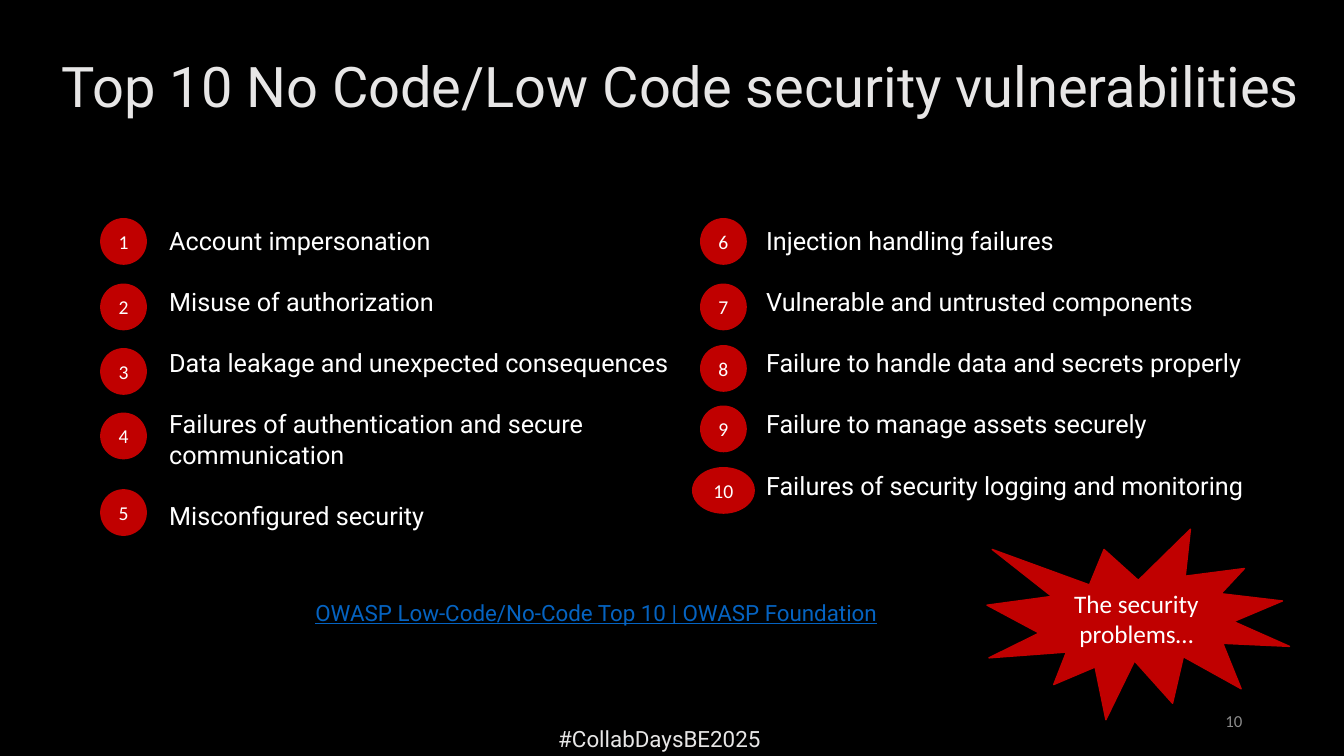
from dataclasses import dataclass

from pptx import Presentation
from pptx.dml.color import RGBColor
from pptx.enum.shapes import MSO_SHAPE as SHAPE
from pptx.enum.text import MSO_ANCHOR as ANCHOR, PP_ALIGN as ALIGN
from pptx.util import Inches, Pt


@dataclass(frozen=True)
class Theme:
    background: str = "000000"
    heading: str = "E7E6E6"
    body: str = "FFFFFF"
    accent: str = "C00000"
    link: str = "0563C1"
    muted: str = "8C8C8C"
    main_font: str = "Roboto"
    label_font: str = "Calibri"
    title_size: int = 40
    body_size: int = 18
    small_size: int = 16
    badge_size: int = 14
    number_size: int = 12
    item_gap: int = 22


THEME = Theme()

LEFT_ITEMS = [
    ("Account impersonation", 0),
    ("Misuse of authorization", 0.65),
    ("Data leakage and unexpected consequences", 1.29),
    ("Failures of authentication and secure communication", 1.93),
    ("Misconfigured security", 2.69),
]
RIGHT_ITEMS = [
    ("Injection handling failures", 0),
    ("Vulnerable and untrusted components", 0.65),
    ("Failure to handle data and secrets properly", 1.26),
    ("Failure to manage assets securely", 1.86),
    ("Failures of security logging and monitoring", 2.47),
]


def rgb(color):
    return RGBColor.from_string(color)


def write(tf, lines, size, color, font=THEME.main_font, align=ALIGN.LEFT,
          anchor=ANCHOR.TOP, wrap=True, gap=0, underline=None):
    tf.word_wrap = wrap
    tf.vertical_anchor = anchor
    tf.text = "\n".join(lines)
    for i, p in enumerate(tf.paragraphs):
        p.alignment = align
        if i and gap:
            p.space_before = Pt(gap)
        for r in p.runs:
            r.font.name = font
            r.font.size = Pt(size)
            r.font.color.rgb = rgb(color)
            r.font.underline = underline


def add_text(s, box, lines, size, color, **style):
    sp = s.shapes.add_textbox(*map(Inches, box))
    write(sp.text_frame, lines, size, color, **style)


def add_label(s, kind, box, text, size, inset=0.1):
    sp = s.shapes.add_shape(kind, *map(Inches, box))
    sp.shadow.inherit = False
    sp.fill.solid()
    sp.fill.fore_color.rgb = rgb(THEME.accent)
    sp.line.color.rgb = rgb(THEME.accent)
    sp.line.width = Pt(1)
    tf = sp.text_frame
    tf.margin_left = tf.margin_right = Inches(inset)
    write(tf, [text], size, THEME.body, font=THEME.label_font,
          align=ALIGN.CENTER, anchor=ANCHOR.MIDDLE)


def add_list(s, box, items, first, text_offset):
    left, top, width, height = box
    diameter = 0.45
    for number, (_, drop) in enumerate(items, first):
        badge_width = diameter if number < 10 else 0.61
        x = left + (diameter - badge_width) / 2
        add_label(s, SHAPE.FLOWCHART_CONNECTOR,
                  (x, top + drop, badge_width, diameter),
                  str(number), THEME.badge_size, inset=0)
    add_text(s, (left + text_offset, top + 0.02, width - text_offset, height),
             [text for text, _ in items], THEME.body_size, THEME.body,
             gap=THEME.item_gap)


def add_footer(s, box):
    left, top, width, height = box
    add_text(s, (left, top + 0.19, width, 0.37), ["#CollabDaysBE2025"],
             THEME.small_size, THEME.heading, align=ALIGN.CENTER)
    add_text(s, (left + 6.5, top, 3, height), ["10"], THEME.number_size,
             THEME.muted, font=THEME.label_font, align=ALIGN.RIGHT,
             anchor=ANCHOR.MIDDLE)


def build_slide(prs):
    s = prs.slides.add_slide(prs.slide_layouts[6])
    s.background.fill.solid()
    s.background.fill.fore_color.rgb = rgb(THEME.background)
    add_text(s, (0.45, 0.31, 12.6, 1.06),
             ["Top 10 No Code/Low Code security vulnerabilities"],
             THEME.title_size, THEME.heading, align=ALIGN.CENTER,
             anchor=ANCHOR.MIDDLE, wrap=False)
    add_list(s, (1, 2.17, 5.88, 3.5), LEFT_ITEMS, 1, 0.58)
    add_list(s, (6.95, 2.17, 5.85, 3.2), RIGHT_ITEMS, 6, 0.55)
    add_text(s, (3.03, 5.89, 6.67, 0.37),
             ["OWASP Low-Code/No-Code Top 10 | OWASP Foundation"],
             THEME.small_size, THEME.link, underline=True)
    add_label(s, SHAPE.EXPLOSION1, (9.79, 5.25, 3, 1.89),
              "The security problems…", THEME.body_size)
    add_footer(s, (2.92, 6.95, 7.24, 0.4))


def main():
    prs = Presentation()
    prs.slide_width = Inches(13.33)
    prs.slide_height = Inches(7.5)
    build_slide(prs)
    prs.save("out.pptx")


if __name__ == "__main__":
    main()
